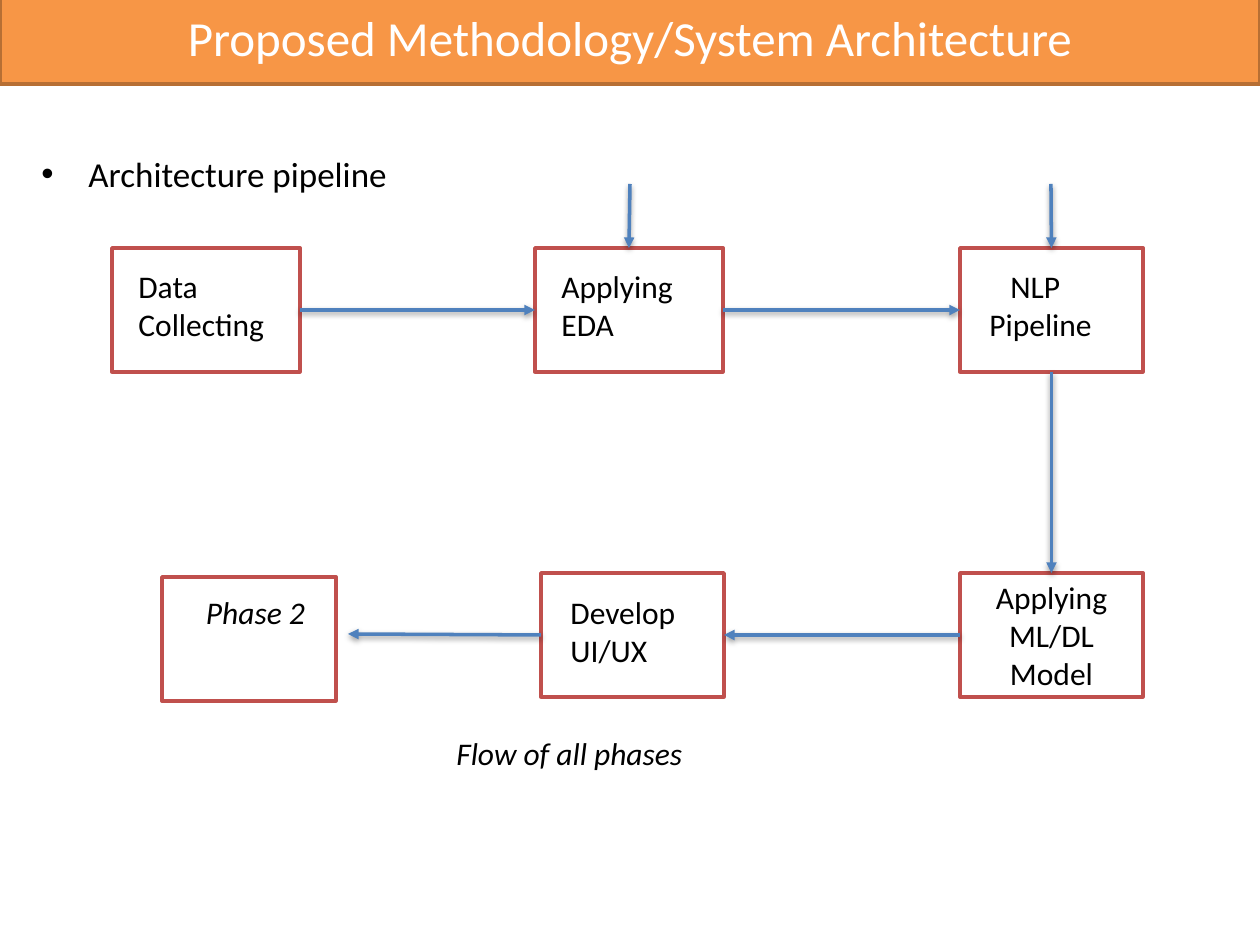
from dataclasses import dataclass

from lxml import etree
from pptx import Presentation
from pptx.dml.color import RGBColor
from pptx.enum.shapes import MSO_CONNECTOR, MSO_SHAPE
from pptx.enum.text import MSO_ANCHOR, MSO_AUTO_SIZE, PP_ALIGN
from pptx.oxml.ns import qn
from pptx.util import Emu, Pt

RECT = MSO_SHAPE.RECTANGLE
STRAIGHT = MSO_CONNECTOR.STRAIGHT
LEFT, CENTER = PP_ALIGN.LEFT, PP_ALIGN.CENTER
TOP, MIDDLE = MSO_ANCHOR.TOP, MSO_ANCHOR.MIDDLE
FIT_SHAPE = MSO_AUTO_SIZE.SHAPE_TO_FIT_TEXT
SIDE_TOP, SIDE_LEFT, SIDE_BOTTOM, SIDE_RIGHT = range(4)
PX_PER_INCH = 126


@dataclass(frozen=True)
class Theme:
    font: str = "Calibri"
    title_size: int = 28
    bullet_size: int = 20
    body_size: int = 18
    line_width: int = 2
    white: str = "FFFFFF"
    text: str = "000000"
    banner: str = "F79646"
    banner_line: str = "B76F34"
    box_line: str = "C0504D"
    arrow: str = "4F81BD"


def px(n):
    return Emu(round(n * 914400 / PX_PER_INCH))


def rgb(color):
    return RGBColor.from_string(color)


def set_text(tf, text, *, font, size, color, italic=False, align=LEFT,
             anchor=TOP, wrap=True, margin=0, indent=0, bullet=None, before=0):
    """Fill a text frame with one paragraph; margin and indent are in px."""
    tf.word_wrap = wrap
    tf.vertical_anchor = anchor
    p = tf.paragraphs[0]
    p.alignment = align
    p.space_before = Pt(before)
    pPr = p._p.get_or_add_pPr()
    pPr.set("marL", str(px(margin)))
    pPr.set("indent", str(px(indent)))
    if bullet:
        etree.SubElement(pPr, qn("a:buFont")).set("typeface", "Arial")
        etree.SubElement(pPr, qn("a:buChar")).set("char", bullet)
    r = p.add_run()
    r.text = text
    r.font.name = font
    r.font.size = Pt(size)
    r.font.italic = italic
    r.font.color.rgb = rgb(color)


class FlowSlide:
    def __init__(self, slide, theme):
        self.s = slide
        self.t = theme

    def text(self, tf, text, **fmt):
        base = dict(font=self.t.font, size=self.t.body_size, color=self.t.text)
        set_text(tf, text, **{**base, **fmt})

    def rect(self, x, y, w, h, *, fill, line):
        sp = self.s.shapes.add_shape(RECT, px(x), px(y), px(w), px(h))
        sp.shadow.inherit = False
        sp.fill.solid()
        sp.fill.fore_color.rgb = rgb(fill)
        sp.line.color.rgb = rgb(line)
        sp.line.width = Pt(self.t.line_width)
        return sp

    def banner(self, text, x, y, w, h):
        sp = self.rect(x, y, w, h, fill=self.t.banner, line=self.t.banner_line)
        self.text(sp.text_frame, text, size=self.t.title_size,
                  color=self.t.white, align=CENTER, anchor=MIDDLE, wrap=False)

    def box(self, x, y, w, h=124):
        return self.rect(x, y, w, h, fill=self.t.white, line=self.t.box_line)

    def label(self, text, x, y, w, h, **fmt):
        sp = self.s.shapes.add_textbox(px(x), px(y), px(w), px(h))
        self.text(sp.text_frame, text, **fmt)
        sp.text_frame.auto_size = FIT_SHAPE

    def bullet(self, text, x, y, w, h):
        sp = self.s.shapes.add_textbox(px(x), px(y), px(w), px(h))
        self.text(sp.text_frame, text, size=self.t.bullet_size, bullet="•",
                  margin=47, indent=-47, before=4)

    def arrow(self, start=(0, 0), end=(0, 0), *, source=None, target=None):
        """Draw an arrow; source and target are (box, side) pairs to join.

        The soft shadow comes from the theme's connector style.
        """
        c = self.s.shapes.add_connector(STRAIGHT, *map(px, start + end))
        if source:
            c.begin_connect(*source)
        if target:
            c.end_connect(*target)
        c.line.color.rgb = rgb(self.t.arrow)
        c.line.width = Pt(self.t.line_width)
        ln = c._element.spPr.find(qn("a:ln"))
        etree.SubElement(ln, qn("a:tailEnd")).set("type", "triangle")


def main():
    prs = Presentation()
    prs.slide_width, prs.slide_height = px(1260), px(945)
    slide = FlowSlide(prs.slides.add_slide(prs.slide_layouts[6]), Theme())

    slide.bullet("Architecture pipeline", 29, 146, 1198, 678)
    slide.banner("Proposed Methodology/System Architecture", 0, -10, 1260, 94)

    top_row, bottom_row = 248, 573
    collecting = slide.box(112, top_row, 188)
    eda = slide.box(535, top_row, 188)
    nlp = slide.box(960, top_row, 183)
    model = slide.box(960, bottom_row, 183)
    ui = slide.box(541, bottom_row, 183)
    slide.box(162, bottom_row + 4, 174)

    slide.text(model.text_frame, "Applying ML/DL Model",
               align=CENTER, anchor=MIDDLE)
    slide.label("Data Collecting", 126, 261, 159, 89)
    slide.label("Applying EDA", 549, 261, 158, 89)
    slide.label("NLP Pipeline", 977, 261, 142, 89, indent=21)
    slide.label("Develop UI/UX", 558, 587, 147, 89)
    slide.label("Phase 2", 176, 587, 145, 50, italic=True,
                align=CENTER, margin=14)
    slide.label("Flow of all phases", 444, 728, 291, 50, italic=True)

    for source, target in (
        ((collecting, SIDE_RIGHT), (eda, SIDE_LEFT)),
        ((eda, SIDE_RIGHT), (nlp, SIDE_LEFT)),
        ((nlp, SIDE_BOTTOM), (model, SIDE_TOP)),
        ((model, SIDE_LEFT), (ui, SIDE_RIGHT)),
    ):
        slide.arrow(source=source, target=target)
    slide.arrow(end=(348, 634), source=(ui, SIDE_LEFT))
    for x, box in ((630, eda), (1051, nlp)):
        slide.arrow(start=(x, 184), target=(box, SIDE_TOP))

    prs.save("out.pptx")


if __name__ == "__main__":
    main()
